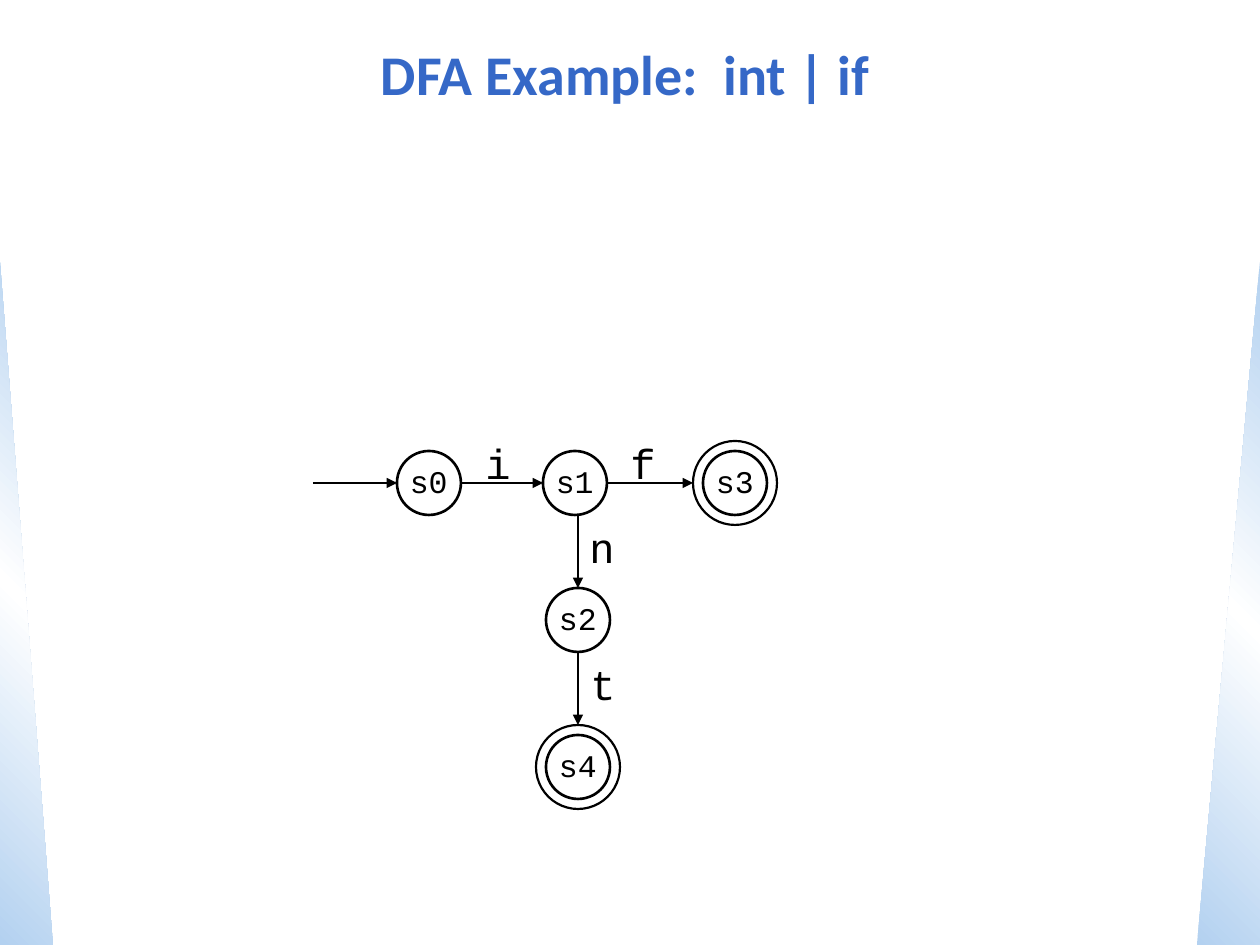
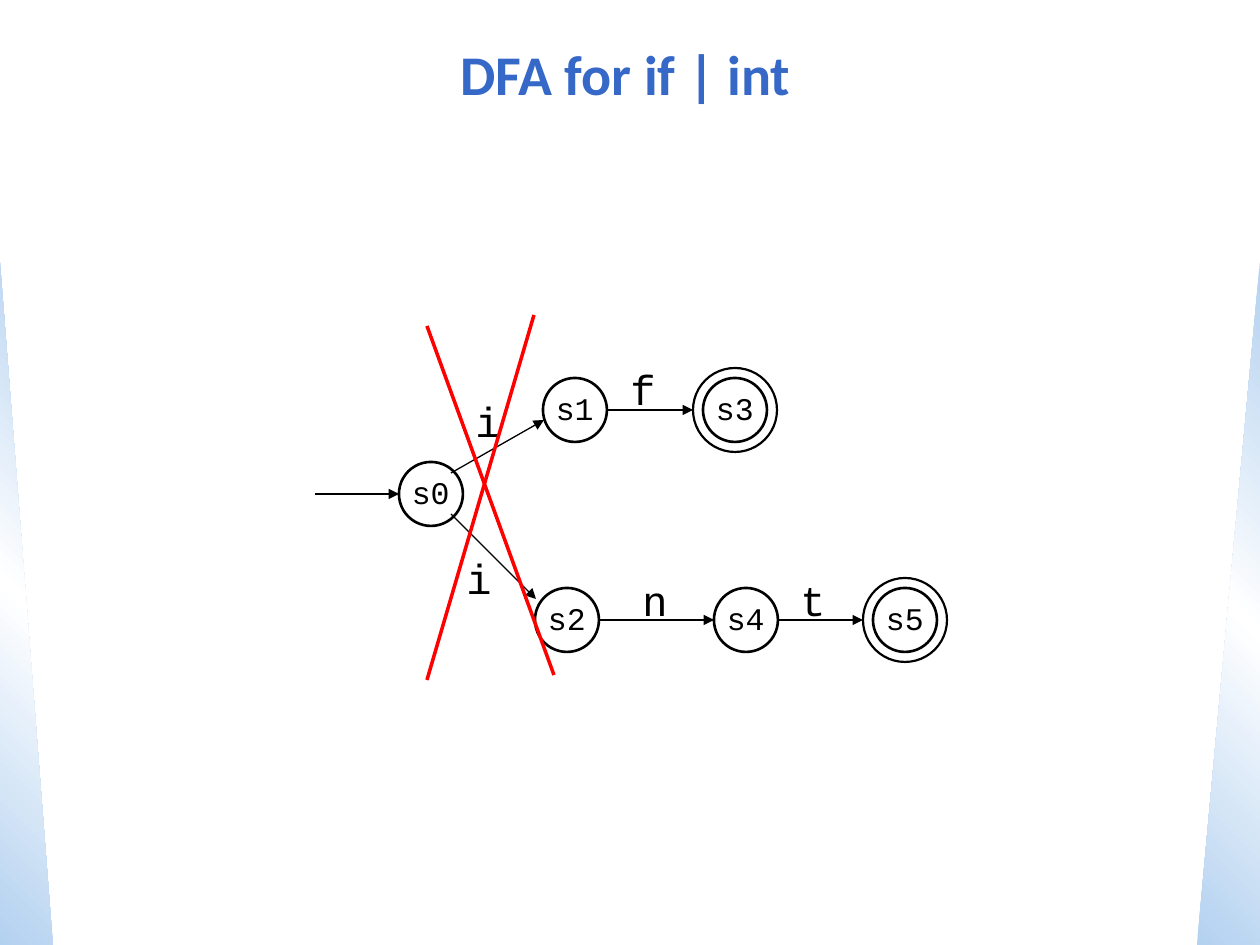
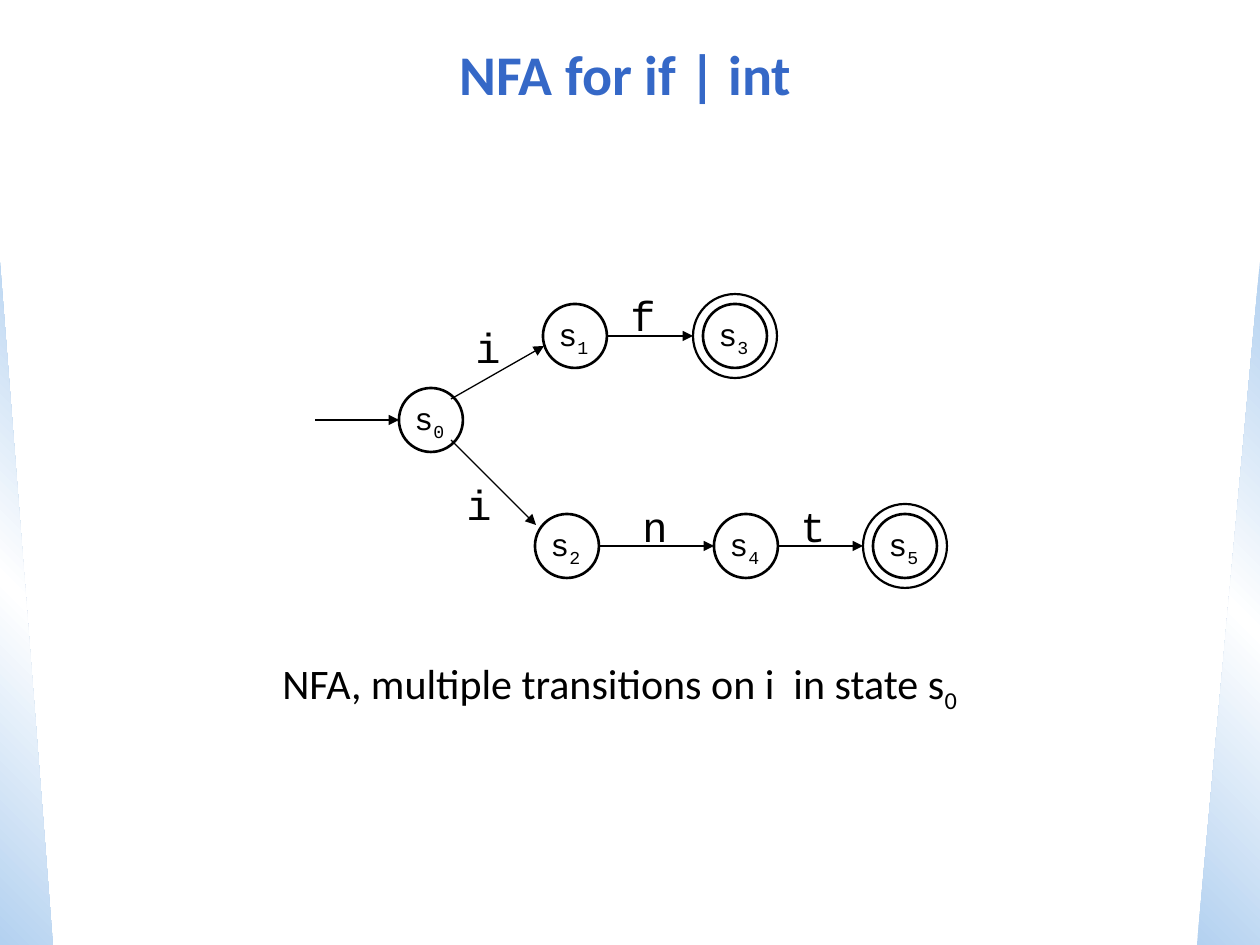
from lxml import etree
from pptx import Presentation
from pptx import util as u
from pptx.dml.color import RGBColor
from pptx.enum import shapes, text
from pptx.oxml import ns

PX = u.Inches(1) / 126
WIDTH, HEIGHT = 1260, 945
BLACK = RGBColor(0, 0, 0)
RED = RGBColor(0xFF, 0, 0)
TITLE_BLUE = RGBColor(0x35, 0x68, 0xC7)
PALE_BLUE = RGBColor(0xB3, 0xD1, 0xF0)
WHITE = RGBColor(0xFF, 0xFF, 0xFF)
BODY_FONT, CODE_FONT = "Calibri", "Courier New"
RADIUS, RING_RADIUS, START_LENGTH = 32, 42, 84

DETERMINISTIC = {
    "states": {"s0": (429, 483), "s1": (575, 483), "s3": (735, 483),
               "s2": (578, 620), "s4": (578, 767)},
    "final": {"s3", "s4"},
    "moves": [("s0", "s1", "i", (498, 462)), ("s1", "s3", "f", (643, 462)),
              ("s1", "s2", "n", (602, 546)), ("s2", "s4", "t", (603, 683))],
}
BRANCHING = {
    "states": {"s0": (431, 494), "s1": (575, 410), "s3": (735, 410),
               "s2": (567, 620), "s4": (746, 620), "s5": (905, 620)},
    "final": {"s3", "s5"},
    "moves": [("s0", "s1", "i", (488, 420), (20, -21), (-31, 10)),
              ("s0", "s2", "i", (479, 577), (20, 20), (-31, -21)),
              ("s1", "s3", "f", (643, 388)), ("s2", "s4", "n", (655, 599)),
              ("s4", "s5", "t", (813, 599))],
}
CROSS = [((427, 680), (534, 315)), ((554, 675), (427, 326))]
SLIDES = [
    {"title": "DFA Example:  int | if", "automaton": DETERMINISTIC},
    {"title": "DFA for if | int", "automaton": BRANCHING, "cross": CROSS},
    {"title": "NFA for if | int", "automaton": BRANCHING, "lift": 74,
     "subscripts": True,
     "caption": "NFA, multiple transitions on i  in state s_0"},
]
SIDE_BANDS = [(0, 53, 135, False), (1197, 63, 225, True)]
BAND_TOP = 262


def px(*lengths):
    return [round(length * PX) for length in lengths]


def add_side_band(slide, master, left, width, angle, flipped):
    band = slide.shapes.add_shape(shapes.MSO_SHAPE.RIGHT_TRIANGLE,
                                  *px(left, BAND_TOP, width, HEIGHT - BAND_TOP))
    band.shadow.inherit = False
    band.line.fill.background()
    band.fill.gradient()
    gradient = band.element.spPr.find(ns.qn("a:gradFill"))
    stops = gradient.find(ns.qn("a:gsLst"))
    for stop in list(stops):
        stops.remove(stop)
    for position, color in ((0, PALE_BLUE), (50, WHITE), (100, PALE_BLUE)):
        stop = etree.SubElement(stops, ns.qn("a:gs"), pos=str(position * 1000))
        etree.SubElement(stop, ns.qn("a:srgbClr"), val=str(color))
    gradient.find(ns.qn("a:lin")).set("ang", str(angle * 60000))
    if flipped:
        band.element.spPr.find(ns.qn("a:xfrm")).set("flipH", "1")
    master.element.cSld.spTree.insert(2, band.element)


def format_run(run, font, size, color):
    run.font.name, run.font.size = font, u.Pt(size)
    run.font.color.rgb = color


def add_title(slide, wording):
    title = slide.shapes.title
    title.left, title.top, title.width, title.height = px(32, 21, 1187, 105)
    title.text_frame.text = wording
    title.text_frame.vertical_anchor = text.MSO_ANCHOR.MIDDLE
    heading = title.text_frame.paragraphs[0]
    heading.alignment = text.PP_ALIGN.CENTER
    format_run(heading.runs[0], BODY_FONT, 32, TITLE_BLUE)
    heading.runs[0].font.bold = True


def add_label(slide, wording, box, size, font=CODE_FONT):
    frame = slide.shapes.add_textbox(*px(*box)).text_frame
    frame.word_wrap = False
    frame.auto_size = text.MSO_AUTO_SIZE.SHAPE_TO_FIT_TEXT
    base, _, subscript = wording.partition("_")
    line = frame.paragraphs[0]
    line.text = base
    if subscript:
        line.add_run().text = subscript
    for run in line.runs:
        format_run(run, font, size, BLACK)
    if subscript:
        line.runs[1].font._element.set("baseline", "-25000")


def add_line(slide, start, end, color=BLACK, weight=0.75, arrow=True):
    line = slide.shapes.add_connector(shapes.MSO_CONNECTOR.STRAIGHT,
                                      *px(*start, *end))
    line.line.color.rgb = color
    line.line.width = u.Pt(weight)
    properties = line.element.spPr
    if arrow:
        etree.SubElement(properties.find(ns.qn("a:ln")), ns.qn("a:tailEnd"),
                         type="triangle")
    etree.SubElement(properties, ns.qn("a:effectLst"))


def add_circle(slide, center, radius, weight):
    x, y = center
    circle = slide.shapes.add_shape(
        shapes.MSO_SHAPE.OVAL,
        *px(x - radius, y - radius, 2 * radius, 2 * radius))
    circle.shadow.inherit = False
    circle.fill.background()
    circle.line.color.rgb = BLACK
    circle.line.width = u.Pt(weight)


def add_state(slide, name, center, final):
    x, y = center
    width, height = (58, 55) if "_" in name else (63, 50)
    add_circle(slide, center, RADIUS, 1.5)
    add_label(slide, name, (x - width / 2, y - 27, width, height), 18)
    if final:
        add_circle(slide, center, RING_RADIUS, 1.25)


def move_ends(source, target, target_radius, leave, enter):
    (x1, y1), (x2, y2) = source, target
    if leave:
        return ((x1 + leave[0], y1 + leave[1]),
                (x2 + enter[0], y2 + enter[1]))
    if abs(x2 - x1) > abs(y2 - y1):
        return (x1 + RADIUS, y2), (x2 - target_radius, y2)
    return (x2, y1 + RADIUS), (x2, y2 - target_radius)


def add_automaton(slide, automaton, lift, subscripts):
    states = {name: (x, y - lift)
              for name, (x, y) in automaton["states"].items()}
    for name, center in states.items():
        shown = name.replace("s", "s_") if subscripts else name
        add_state(slide, shown, center, name in automaton["final"])
    x, y = states["s0"]
    add_line(slide, (x - RADIUS - START_LENGTH, y), (x - RADIUS, y))
    for source, target, symbol, (x, y), *offsets in automaton["moves"]:
        radius = RING_RADIUS if target in automaton["final"] else RADIUS
        leave, enter = offsets or (None, None)
        add_line(slide, *move_ends(states[source], states[target], radius,
                                   leave, enter))
        add_label(slide, symbol, (x - 25, y - lift - 31, 50, 63), 24)


def main():
    deck = Presentation()
    deck.slide_width, deck.slide_height = px(WIDTH, HEIGHT)
    for number, content in enumerate(SLIDES):
        slide = deck.slides.add_slide(deck.slide_layouts[5])
        if number == 0:
            for band in SIDE_BANDS:
                add_side_band(slide, deck.slide_master, *band)
        add_title(slide, content["title"])
        add_automaton(slide, content["automaton"], content.get("lift", 0),
                      content.get("subscripts", False))
        for start, end in content.get("cross", []):
            add_line(slide, start, end, RED, 2, arrow=False)
        if "caption" in content:
            add_label(slide, content["caption"], (270, 651, 808, 71), 24,
                      BODY_FONT)
    deck.save("out.pptx")


if __name__ == "__main__":
    main()
